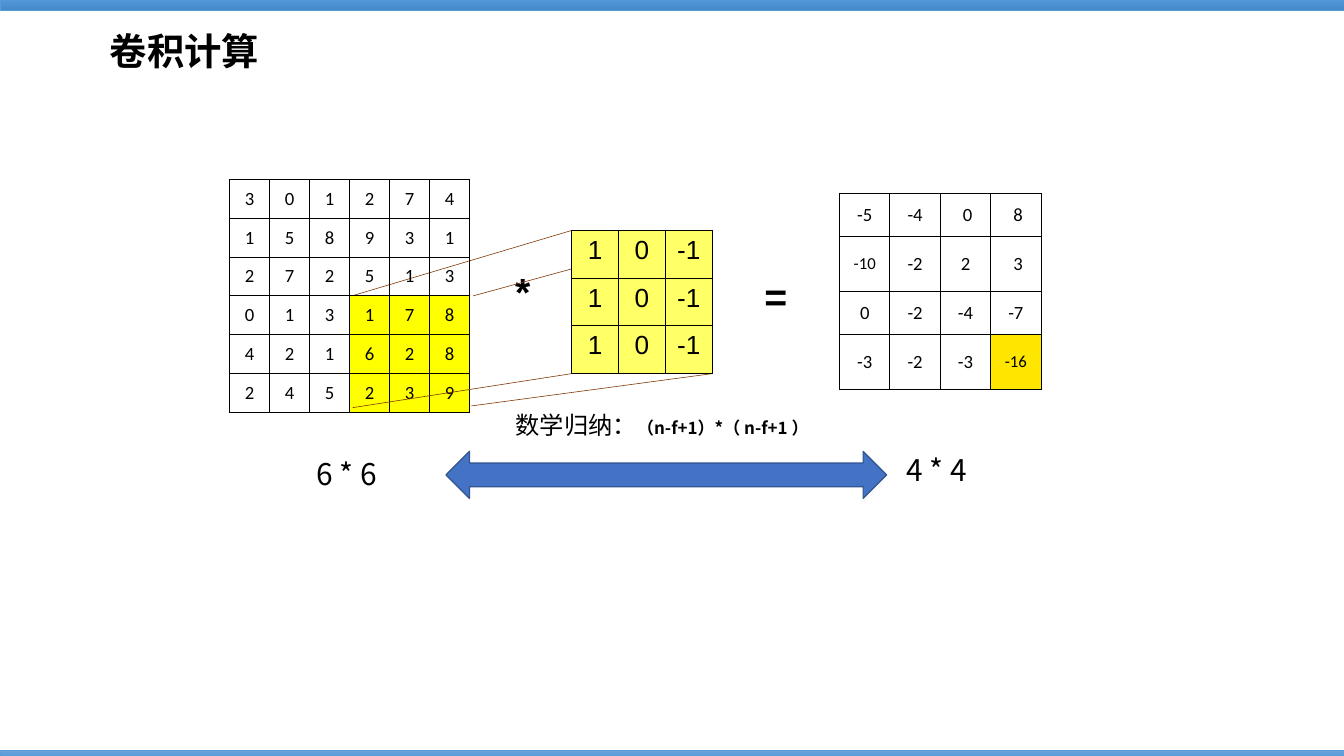
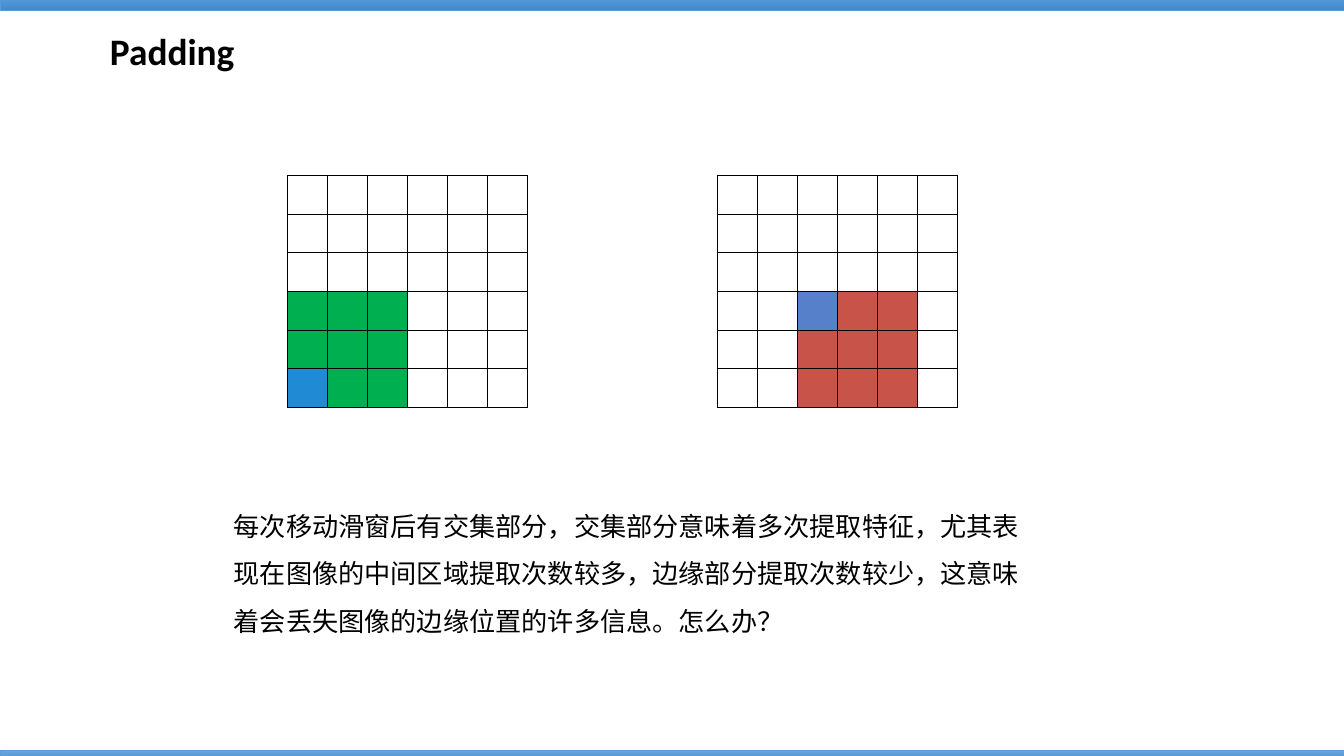
import pptx
import pptx.dml.color
import pptx.enum.shapes
import pptx.enum.text
import pptx.oxml
import pptx.oxml.ns
import pptx.util

Inches = pptx.util.Inches
Pt = pptx.util.Pt
RGBColor = pptx.dml.color.RGBColor
MSO_ANCHOR = pptx.enum.text.MSO_ANCHOR
MSO_SHAPE = pptx.enum.shapes.MSO_SHAPE
PP_ALIGN = pptx.enum.text.PP_ALIGN

BLACK = RGBColor(0x00, 0x00, 0x00)
BAND_STOPS = [
    (0, RGBColor(0x71, 0xA6, 0xDB)),
    (50, RGBColor(0x55, 0x9B, 0xDB)),
    (100, RGBColor(0x44, 0x8A, 0xCA)),
]
BAND_LINE = RGBColor(0x5B, 0x9B, 0xD5)
ARROW_FILL = RGBColor(0x44, 0x72, 0xC4)
ARROW_LINE = RGBColor(0x32, 0x54, 0x91)
PROJECTION = RGBColor(0x84, 0x3C, 0x0B)
WINDOW_YELLOW = RGBColor(0xFF, 0xFF, 0x00)
KERNEL_YELLOW = RGBColor(0xFF, 0xFF, 0x66)
RESULT_GOLD = RGBColor(0xFE, 0xE6, 0x00)
GREEN = RGBColor(0x00, 0xB0, 0x50)
BRIGHT_BLUE = RGBColor(0x20, 0x8A, 0xD4)
RED = RGBColor(0xC7, 0x53, 0x49)
SOFT_BLUE = RGBColor(0x57, 0x80, 0xCA)

LATIN = "Calibri"
SANS = "Arial"
CJK = "Noto Sans CJK SC"

SLIDE_WIDTH = 15.4
SLIDE_HEIGHT = 8.66
GRID_WIDTH = 2.75
GRID_HEIGHT = 2.66
GRID_SIZE = 6

INPUT_VALUES = [
    ["3", "0", "1", "2", "7", "4"],
    ["1", "5", "8", "9", "3", "1"],
    ["2", "7", "2", "5", "1", "3"],
    ["0", "1", "3", "1", "7", "8"],
    ["4", "2", "1", "6", "2", "8"],
    ["2", "4", "5", "2", "3", "9"],
]
KERNEL_VALUES = [["1", "0", "-1"]] * 3
RESULT_VALUES = [
    ["-5", "-4", " 0", " 8"],
    ["-10", "-2", "2", " 3"],
    ["0", "-2", "-4", "-7"],
    ["-3", "-2", "-3", "-16"],
]
EMPTY_VALUES = [[""] * GRID_SIZE] * GRID_SIZE


def style_font(font, size, name, bold=False):
    font.size = Pt(size)
    font.name = name
    font.bold = bold
    font.color.rgb = BLACK


def add_band(slide, top, height):
    band = slide.shapes.add_shape(
        MSO_SHAPE.RECTANGLE, 0, Inches(top), Inches(SLIDE_WIDTH), Inches(height))
    band.shadow.inherit = False
    stops = "".join(
        f'<a:gs pos="{percent * 1000}"><a:srgbClr val="{color}"/></a:gs>'
        for percent, color in BAND_STOPS)
    gradient = pptx.oxml.parse_xml(
        f'<a:gradFill {pptx.oxml.ns.nsdecls("a")} rotWithShape="1">'
        f'<a:gsLst>{stops}</a:gsLst><a:lin ang="5400000" scaled="0"/></a:gradFill>')
    geometry = band._element.spPr.find(pptx.oxml.ns.qn("a:prstGeom"))
    geometry.addnext(gradient)
    band.line.color.rgb = BAND_LINE
    band.line.width = Pt(0.5)


def add_titled_slide(presentation, text):
    slide = presentation.slides.add_slide(presentation.slide_layouts[5])
    title = slide.shapes.title
    title.left, title.top = Inches(1.16), Inches(0.27)
    title.width, title.height = Inches(4.3), Inches(0.62)
    title.text_frame.text = text
    title.text_frame.vertical_anchor = MSO_ANCHOR.TOP
    paragraph = title.text_frame.paragraphs[0]
    paragraph.alignment = PP_ALIGN.LEFT
    style_font(paragraph.font, 30.8, LATIN, bold=True)
    add_band(slide, -0.18, 0.3)
    add_band(slide, 8.59, 0.14)
    return slide


def add_text(slide, left, top, width, height, text, size, name, bold=False):
    box = slide.shapes.add_textbox(
        Inches(left), Inches(top), Inches(width), Inches(height))
    box.text_frame.word_wrap = True
    paragraph = box.text_frame.paragraphs[0]
    paragraph.text = text
    style_font(paragraph.font, size, name, bold)
    return box


def add_operator(slide, left, top, text):
    box = add_text(slide, left, top, 0.5, 0.92, text, 32.4, SANS, bold=True)
    box.text_frame.word_wrap = False
    box.text_frame.vertical_anchor = MSO_ANCHOR.MIDDLE
    box.text_frame.paragraphs[0].alignment = PP_ALIGN.CENTER


def outline_cell(cell):
    properties = cell._tc.get_or_add_tcPr()
    for side in ("lnL", "lnR", "lnT", "lnB"):
        properties.append(pptx.oxml.parse_xml(
            f'<a:{side} {pptx.oxml.ns.nsdecls("a")} w="12700"><a:solidFill>'
            f'<a:srgbClr val="{BLACK}"/></a:solidFill></a:{side}>'))


def add_grid(slide, left, top, width, row_heights, values, fills,
             size=15.4, name=LATIN, anchor=MSO_ANCHOR.MIDDLE):
    """Draw a bordered matrix; fills maps (row, column) to a colour."""
    columns = len(values[0])
    table = slide.shapes.add_table(
        len(values), columns, Inches(left), Inches(top),
        Inches(width), Inches(sum(row_heights))).table
    table.first_row = False
    table.horz_banding = False
    for column in table.columns:
        column.width = Inches(width / columns)
    for row, height in zip(table.rows, row_heights):
        row.height = Inches(height)
    for row, row_values in enumerate(values):
        for column, value in enumerate(row_values):
            cell = table.cell(row, column)
            cell.margin_left = cell.margin_right = Inches(0.12)
            cell.margin_top = cell.margin_bottom = Inches(0.06)
            cell.vertical_anchor = anchor
            outline_cell(cell)
            if (row, column) in fills:
                cell.fill.solid()
                cell.fill.fore_color.rgb = fills[row, column]
            else:
                cell.fill.background()
            paragraph = cell.text_frame.paragraphs[0]
            paragraph.text = value
            paragraph.alignment = PP_ALIGN.CENTER
            # Three-character values need a smaller size to stay on one line.
            style_font(paragraph.font, 13.8 if len(value) > 2 else size, name)


def add_square_grid(slide, left, top, values, fills):
    add_grid(slide, left, top, GRID_WIDTH, [GRID_HEIGHT / GRID_SIZE] * GRID_SIZE,
             values, fills)


def window(first_row, first_column, color):
    """Return the fills of a 3 by 3 window."""
    return {(first_row + row, first_column + column): color
            for row in range(3) for column in range(3)}


def add_projection(slide, start, end):
    line = slide.shapes.add_connector(
        pptx.enum.shapes.MSO_CONNECTOR.STRAIGHT,
        *(Inches(value) for value in (*start, *end)))
    line.line.color.rgb = PROJECTION
    line.line.width = Pt(0.5)
    line._element.spPr.append(
        pptx.oxml.parse_xml(f'<a:effectLst {pptx.oxml.ns.nsdecls("a")}/>'))


def add_convolution(slide, left, top):
    """Draw input * kernel = result from the input's top-left corner."""
    middle = top + GRID_HEIGHT / 2
    kernel_left, kernel_top = left + 3.92, top + 0.58
    kernel_width, kernel_height = 1.61, 1.64
    kernel_right = kernel_left + kernel_width
    kernel_bottom = kernel_top + kernel_height

    add_operator(slide, left + 3.11, top + 0.81, "*")
    add_operator(slide, left + 6.01, top + 0.87, "=")
    add_grid(slide, left + 6.99, top + 0.16, 2.31, [0.49, 0.63] * 2,
             RESULT_VALUES, {(3, 3): RESULT_GOLD})
    add_projection(slide, (left + 1.4, middle), (kernel_left, kernel_top))
    add_projection(slide, (left + 2.79, middle), (kernel_right, kernel_top))
    add_projection(slide, (left + 2.77, top + 2.59), (kernel_right, kernel_bottom))
    add_grid(slide, kernel_left, kernel_top, kernel_width, [kernel_height / 3] * 3,
             KERNEL_VALUES, window(0, 0, KERNEL_YELLOW), 21.6, SANS, MSO_ANCHOR.TOP)
    add_square_grid(slide, left, top, INPUT_VALUES, window(3, 3, WINDOW_YELLOW))
    add_projection(slide, (left + 1.41, top + 2.61), (kernel_left, kernel_bottom))


def add_size_rule(slide, left, top):
    """Draw the input size, the arrow with its formula, and the result size."""
    add_text(slide, left, top + 0.52, 1.39, 0.51, "6 * 6", 24.6, CJK)
    add_text(slide, left + 6.76, top + 0.47, 1.53, 0.51, "4 * 4", 24.6, CJK)
    arrow = slide.shapes.add_shape(
        MSO_SHAPE.LEFT_RIGHT_ARROW, Inches(left + 1.58), Inches(top + 0.52),
        Inches(5.05), Inches(0.54))
    arrow.shadow.inherit = False
    arrow.fill.solid()
    arrow.fill.fore_color.rgb = ARROW_FILL
    arrow.line.color.rgb = ARROW_LINE
    arrow.line.width = Pt(1)
    formula = add_text(slide, left + 2.28, top, 4.35, 0.44, "数学归纳：", 20, LATIN)
    run = formula.text_frame.paragraphs[0].add_run()
    run.text = "（n-f+1）*（ n-f+1 ）"
    style_font(run.font, 14, CJK, bold=True)


def build_convolution_slide(presentation):
    slide = add_titled_slide(presentation, "卷积计算")
    add_convolution(slide, 2.63, 2.06)
    add_size_rule(slide, 3.53, 4.65)


def build_padding_slide(presentation):
    slide = add_titled_slide(presentation, "Padding")
    add_square_grid(slide, 3.29, 2.01, EMPTY_VALUES,
                    {**window(3, 0, GREEN), (5, 0): BRIGHT_BLUE})
    add_square_grid(slide, 8.22, 2.01, EMPTY_VALUES,
                    {**window(3, 2, RED), (3, 2): SOFT_BLUE})
    question = add_text(
        slide, 2.58, 5.62, 9.46, 1.73,
        "每次移动滑窗后有交集部分，交集部分意味着多次提取特征，尤其表现在图像的中间区域"
        "提取次数较多，边缘部分提取次数较少，这意味着会丢失图像的边缘位置的许多信息。"
        "怎么办？", 21.6, CJK)
    question.text_frame.paragraphs[0].line_spacing = 1.5


def main():
    presentation = pptx.Presentation()
    presentation.slide_width = Inches(SLIDE_WIDTH)
    presentation.slide_height = Inches(SLIDE_HEIGHT)
    build_convolution_slide(presentation)
    build_padding_slide(presentation)
    presentation.save("out.pptx")


if __name__ == "__main__":
    main()
